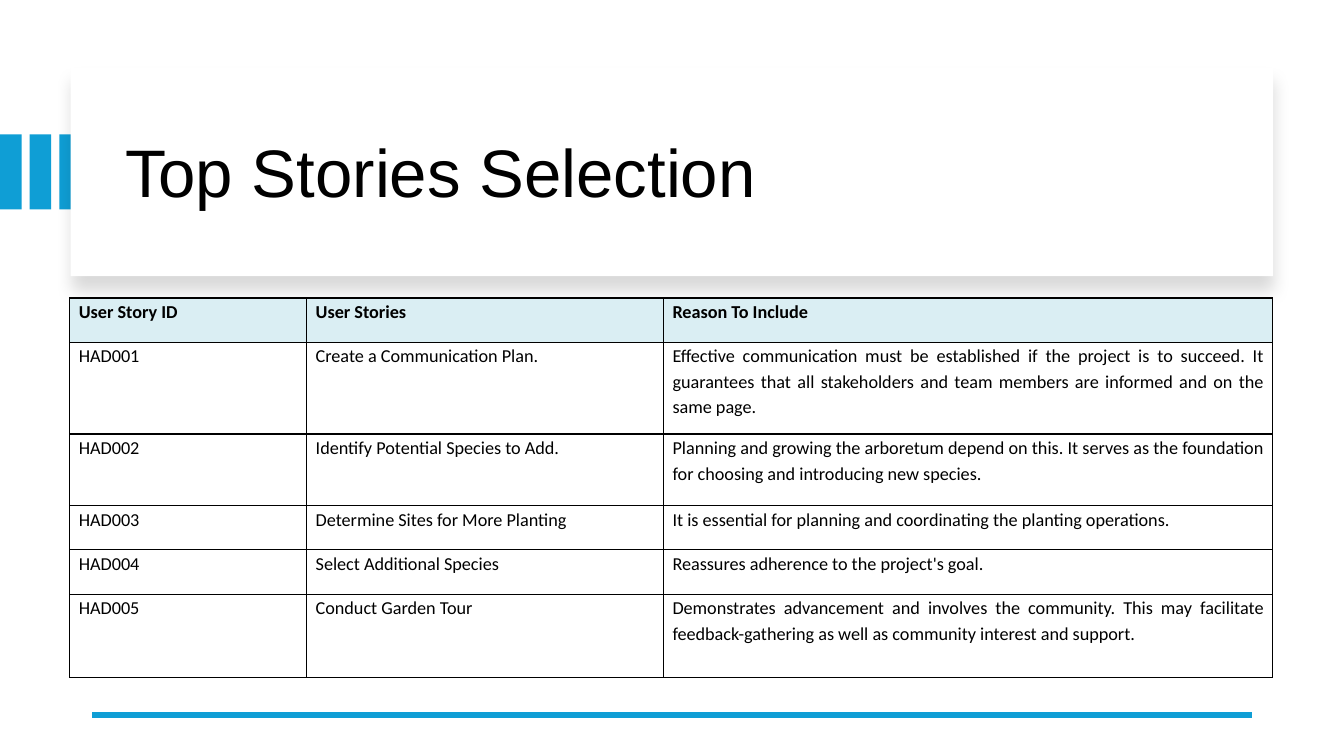
from lxml.etree import SubElement
from pptx import Presentation
from pptx.dml.color import RGBColor
from pptx.enum.shapes import MSO_CONNECTOR as Connector, MSO_SHAPE as Shape
from pptx.enum.text import MSO_ANCHOR as Anchor, PP_ALIGN as Align
from pptx.oxml.ns import qn
from pptx.util import Pt

BLUE, BLACK, WHITE, PALE = "0F9ED5", "000000", "FFFFFF", "DAEEF3"
COLUMNS = [169.2, 254.9, 434.9]
HEIGHTS = [31.7, 65.5, 51.1, 31.7, 31.7, 59.8]
STORIES = [
    ("User Story ID", "User Stories", "Reason To Include"),
    ("HAD001", "Create a Communication Plan.",
     "Effective communication must be established if the project is to succeed. "
     "It guarantees that all stakeholders and team members are informed and on the same page."),
    ("HAD002", "Identify Potential Species to Add.",
     "Planning and growing the arboretum depend on this. "
     "It serves as the foundation for choosing and introducing new species."),
    ("HAD003", "Determine Sites for More Planting",
     "It is essential for planning and coordinating the planting operations."),
    ("HAD004", "Select Additional Species", "Reassures adherence to the project's goal."),
    ("HAD005", "Conduct Garden Tour",
     "Demonstrates advancement and involves the community. "
     "This may facilitate feedback-gathering as well as community interest and support."),
]


def color(value):
    return RGBColor.from_string(value)


def write(frame, text, font="Calibri", size=13, bold=False, align=Align.LEFT, spacing=1.0):
    para = frame.paragraphs[0]
    para.alignment = align
    para.line_spacing = spacing
    span = para.add_run()
    span.text = text
    span.font.name = font
    span.font.size = Pt(size)
    span.font.bold = bold
    span.font.color.rgb = color(BLACK)


class Painter:
    def __init__(self, page, accent):
        self.page = page
        self.accent = accent

    def block(self, left, top, width, height, fill):
        box = self.page.shapes.add_shape(
            Shape.RECTANGLE, Pt(left), Pt(top), Pt(width), Pt(height))
        box.shadow.inherit = False
        box.fill.solid()
        box.fill.fore_color.rgb = color(fill)
        box.line.fill.background()
        return box

    def card(self, left, top, width, height):
        box = self.block(left, top, width, height, WHITE)
        effects = box.element.spPr.find(qn("a:effectLst"))
        shadow = SubElement(effects, qn("a:outerShdw"), blurRad=str(Pt(11)),
                            dist=str(Pt(10)), dir="5400000", algn="t", rotWithShape="0")
        tint = SubElement(shadow, qn("a:srgbClr"), val=BLACK)
        SubElement(tint, qn("a:alpha"), val="15000")

    def title(self, left, top, width, height, text):
        box = self.page.shapes.add_textbox(Pt(left), Pt(top), Pt(width), Pt(height))
        frame = box.text_frame
        frame.word_wrap = True
        frame.vertical_anchor = Anchor.MIDDLE
        write(frame, text, font="Arial", size=48, spacing=0.9)

    def rule(self, start, end, top, weight):
        line = self.page.shapes.add_connector(
            Connector.STRAIGHT, Pt(start), Pt(top), Pt(end), Pt(top))
        line.line.color.rgb = color(self.accent)
        line.line.width = Pt(weight)
        SubElement(line.element.spPr, qn("a:effectLst"))

    def border(self, cell):
        properties = cell._tc.get_or_add_tcPr()
        for side in ("lnL", "lnR", "lnT", "lnB"):
            edge = SubElement(properties, qn(f"a:{side}"), w=str(Pt(1)))
            fill = SubElement(edge, qn("a:solidFill"))
            SubElement(fill, qn("a:srgbClr"), val=BLACK)

    def table(self, left, top, columns, heights, rows):
        table = self.page.shapes.add_table(
            len(rows), len(columns), Pt(left), Pt(top),
            Pt(sum(columns)), Pt(sum(heights))).table
        table.first_row = False
        table.horz_banding = False
        for column, width in zip(table.columns, columns):
            column.width = Pt(width)
        for index, (row, height, texts) in enumerate(zip(table.rows, heights, rows)):
            row.height = Pt(height)
            header = index == 0
            for cell, text in zip(row.cells, texts):
                cell.margin_left = cell.margin_right = Pt(6.5)
                cell.margin_top = cell.margin_bottom = Pt(0)
                self.border(cell)
                if header:
                    cell.fill.solid()
                    cell.fill.fore_color.rgb = color(PALE)
                else:
                    cell.fill.background()
                write(cell.text_frame, text, bold=header, align=Align.JUSTIFY, spacing=1.15)


def main():
    deck = Presentation()
    deck.slide_width, deck.slide_height = Pt(960), Pt(540)
    page = deck.slides.add_slide(deck.slide_layouts[6])
    painter = Painter(page, BLUE)
    for index in range(3):
        painter.block(index * 21.2, 96, 15.4, 53.5, BLUE)
    painter.card(50.5, 48.3, 859, 149)
    painter.title(82.2, 64, 801.5, 122.4, "Top Stories Selection")
    painter.rule(894, 66, 510.5, 4.5)
    painter.table(49.8, 212.8, COLUMNS, HEIGHTS, STORIES)
    deck.save("out.pptx")


if __name__ == "__main__":
    main()
